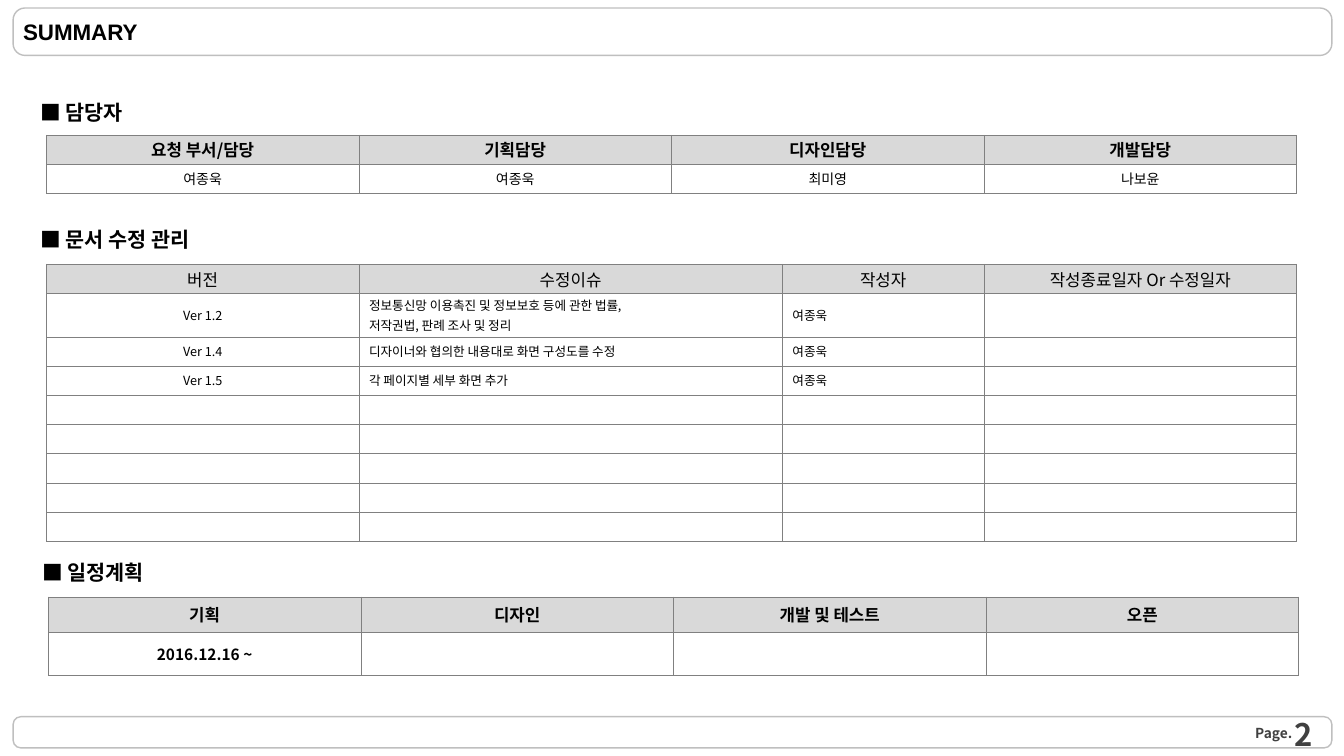
from dataclasses import dataclass

from lxml import etree
from pptx import Presentation
from pptx import util as u
from pptx.dml.color import RGBColor
from pptx.enum import shapes, text
from pptx.oxml import ns

LEFT, CENTER, RIGHT = text.PP_ALIGN.LEFT, text.PP_ALIGN.CENTER, text.PP_ALIGN.RIGHT


@dataclass(frozen=True)
class Theme:
    font: str = "Noto Sans CJK KR"
    title_font: str = "Arial"
    ink: str = "000000"
    page_ink: str = "404040"
    frame: str = "BFBFBF"
    border: str = "808080"
    header_fill: str = "D9D9D9"
    body_fill: str = "FFFFFF"
    title: float = 16
    heading: float = 14.8
    header: float = 12
    date: float = 11
    owner: float = 10
    body: float = 9
    page_label: float = 9.8
    page_number: float = 22.1


THEME = Theme()


def add_span(para, words, size, bold=False, color=THEME.ink, font=THEME.font):
    span = para.add_run()
    span.text = words
    span.font.size = u.Pt(size)
    span.font.bold = bold
    span.font.name = font
    span.font.color.rgb = RGBColor.from_string(color)
    east_asian = etree.SubElement(span.font._element, ns.qn("a:ea"))
    east_asian.set("typeface", font)


def add_label(page, box, words, size, align=LEFT, margins=(0.1, 0.05), **style):
    label = page.shapes.add_textbox(*map(u.Inches, box))
    frame = label.text_frame
    frame.word_wrap = True
    frame.vertical_anchor = text.MSO_ANCHOR.MIDDLE
    frame.margin_left = frame.margin_right = u.Inches(margins[0])
    frame.margin_top = frame.margin_bottom = u.Inches(margins[1])
    para = frame.paragraphs[0]
    para.alignment = align
    add_span(para, words, size, bold=True, **style)


def add_bar(page, box):
    bar = page.shapes.add_shape(shapes.MSO_SHAPE.ROUNDED_RECTANGLE, *map(u.Inches, box))
    bar.adjustments[0] = 0.25
    bar.shadow.inherit = False
    bar.fill.background()
    bar.line.color.rgb = RGBColor.from_string(THEME.frame)
    bar.line.width = u.Pt(1)


def add_header(page, box):
    add_bar(page, box)
    add_label(page, box, "SUMMARY", THEME.title, font=THEME.title_font)


def add_footer(page, box):
    left, top, width, height = box
    add_bar(page, box)
    add_label(page, (left + width - 0.76, top + 0.08, 0.56, 0.17), "Page.",
              THEME.page_label, margins=(0, 0), color=THEME.page_ink)
    add_label(page, (left + width - 3.2, top + 0.09, 3.11, 0.16), "2",
              THEME.page_number, align=RIGHT, color=THEME.page_ink)


def add_borders(cell):
    properties = cell._tc.get_or_add_tcPr()
    for position, side in enumerate(("lnL", "lnR", "lnT", "lnB")):
        line = etree.Element(ns.qn(f"a:{side}"), w=str(u.Pt(0.25)))
        fill = etree.SubElement(line, ns.qn("a:solidFill"))
        etree.SubElement(fill, ns.qn("a:srgbClr"), val=THEME.border)
        properties.insert(position, line)


def fill_cell(cell, words, size, bold, align, fill):
    cell.vertical_anchor = text.MSO_ANCHOR.MIDDLE
    cell.margin_left = cell.margin_right = u.Inches(0.1)
    cell.margin_top = cell.margin_bottom = u.Inches(0.02)
    cell.fill.solid()
    cell.fill.fore_color.rgb = RGBColor.from_string(fill)
    add_borders(cell)
    frame = cell.text_frame
    for index, line in enumerate(words.split("\n")):
        para = frame.add_paragraph() if index else frame.paragraphs[0]
        para.alignment = align
        if index:
            para.space_before = u.Pt(size * 0.2)
        if line:
            add_span(para, line, size, bold)
        else:
            etree.SubElement(para._p, ns.qn("a:endParaRPr"), sz=str(int(size * 100)))


def add_section(page, box, heading, columns, heights, rows, body_size,
                header_bold=True, body_bold=False, aligns=(CENTER,) * 4, gap=0.42):
    left, top = box
    add_label(page, (left - 0.19, top - gap, 3, 0.38), "■ " + heading,
              THEME.heading, margins=(0.13, 0.04))
    holder = page.shapes.add_table(len(rows), len(columns), u.Inches(left), u.Inches(top),
                                   u.Inches(sum(columns)), u.Inches(sum(heights)))
    table = holder.table
    table.first_row = table.horz_banding = False
    for column, width in zip(table.columns, columns):
        column.width = u.Inches(width)
    for row_index, (row, height) in enumerate(zip(rows, heights)):
        table.rows[row_index].height = u.Inches(height)
        for column_index, words in enumerate(row):
            cell = table.cell(row_index, column_index)
            if row_index == 0:
                fill_cell(cell, words, THEME.header, header_bold, CENTER, THEME.header_fill)
            else:
                fill_cell(cell, words, body_size, body_bold, aligns[column_index],
                          THEME.body_fill)


def add_summary(deck):
    page = deck.slides.add_slide(deck.slide_layouts[6])
    add_header(page, (0.13, 0.08, 13.08, 0.47))
    add_footer(page, (0.13, 7.11, 13.08, 0.31))
    quarters = (3.1,) * 4
    add_section(page, (0.46, 1.34), "담당자", quarters, (0.29, 0.29), [
        ("요청 부서/담당", "기획담당", "디자인담당", "개발담당"),
        ("여종욱", "여종욱", "최미영", "나보윤"),
    ], THEME.owner)
    revisions = [
        ("버전", "수정이슈", "작성자", "작성종료일자 Or 수정일자"),
        ("Ver 1.2", "정보통신망 이용촉진 및 정보보호 등에 관한 법률,\n저작권법, 판례 조사 및 정리",
         "여종욱", ""),
        ("Ver 1.4", "디자이너와 협의한 내용대로 화면 구성도를 수정", "여종욱", ""),
        ("Ver 1.5", "각 페이지별 세부 화면 추가", "여종욱", ""),
    ] + [("",) * 4] * 5
    add_section(page, (0.46, 2.62), "문서 수정 관리", (3.1, 4.2, 2, 3.1),
                (0.29, 0.43) + (0.29,) * 7, revisions, THEME.body,
                header_bold=False, aligns=(CENTER, LEFT, LEFT, LEFT), gap=0.44)
    add_section(page, (0.48, 5.92), "일정계획", quarters, (0.35, 0.43), [
        ("기획", "디자인", "개발 및 테스트", "오픈"),
        ("2016.12.16 ~", "", "", ""),
    ], THEME.date, body_bold=True, gap=0.43)


def main():
    deck = Presentation()
    deck.slide_width = u.Inches(13.33)
    deck.slide_height = u.Inches(7.5)
    add_summary(deck)
    deck.save("out.pptx")


if __name__ == "__main__":
    main()
